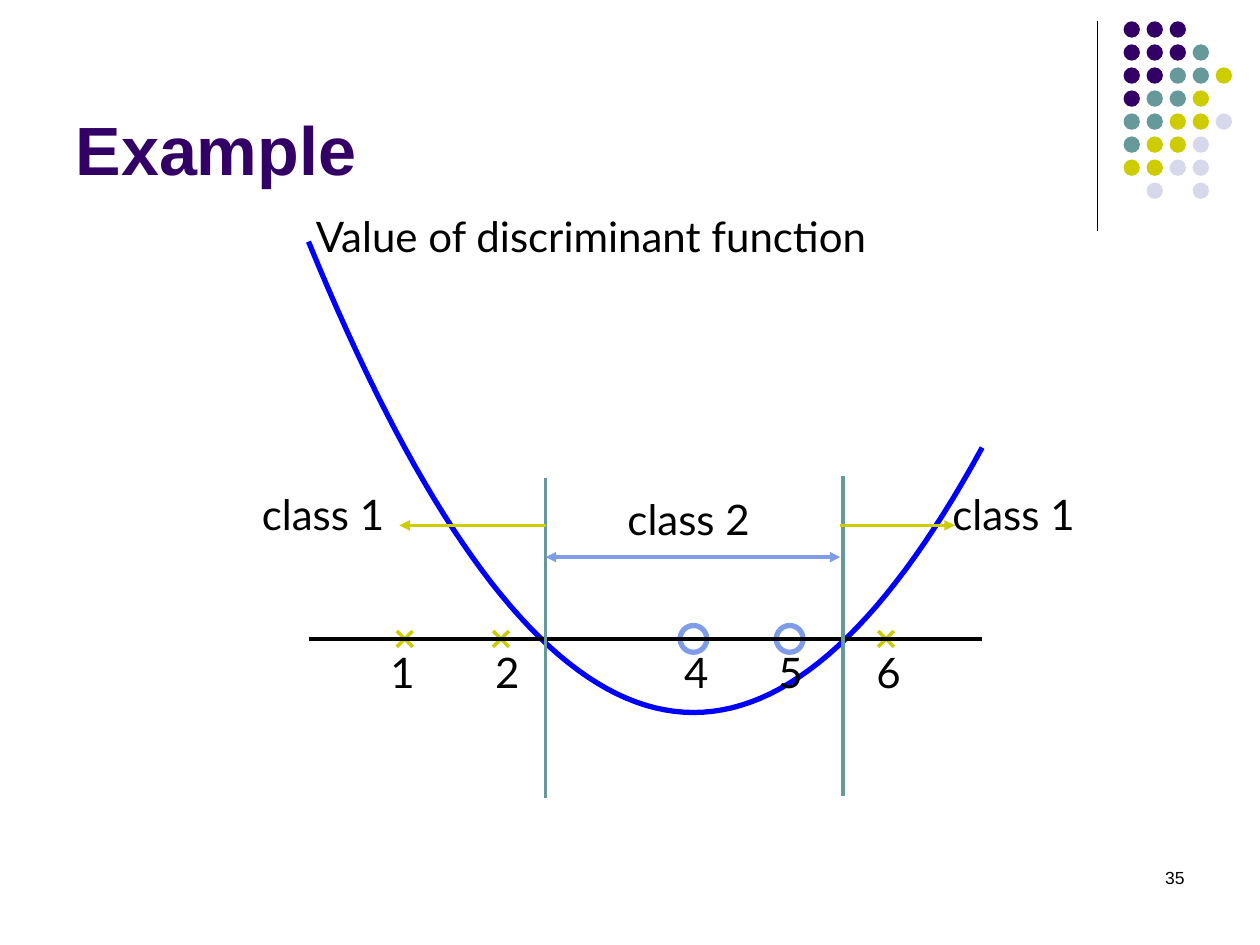
from lxml import etree
from pptx import Presentation
from pptx.dml.color import RGBColor
from pptx.enum import shapes, text
from pptx.oxml import ns
from pptx.util import Cm, Pt

BLACK = RGBColor(0x00, 0x00, 0x00)
PURPLE = RGBColor(0x33, 0x00, 0x66)
TEAL = RGBColor(0x66, 0x99, 0x99)
OLIVE = RGBColor(0xCC, 0xCC, 0x00)
LAVENDER = RGBColor(0xD8, 0xD8, 0xEC)
PERIWINKLE = RGBColor(0x7E, 0x9C, 0xE8)
BLUE = RGBColor(0x00, 0x00, 0xFF)

DOT_ROWS = ["PPP", "PPPT", "PPTTY", "PTTY", "TTYYL", "TYYL", "YYLL", " L L"]
DOT_COLORS = {"P": PURPLE, "T": TEAL, "Y": OLIVE, "L": LAVENDER}
DOT_PITCH = 3.25 / 7

ORIGIN_X, AXIS_Y = 6.22, 12.88
UNIT_X, UNIT_Y = 1.94, 0.89
X_MAX = 7


def discriminant(x):
    return (2 * x * x - 16 * x + 27) / 3


def plot_x(x):
    return ORIGIN_X + UNIT_X * x


def plot_y(value):
    return AXIS_Y - UNIT_Y * value


def format_text(frame, content, font="Lato", size=24, color=BLACK, bold=False,
                align=text.PP_ALIGN.LEFT, anchor=text.MSO_ANCHOR.TOP, wrap=False):
    frame.word_wrap = wrap
    frame.vertical_anchor = anchor
    paragraph = frame.paragraphs[0]
    paragraph.alignment = align
    run = paragraph.add_run()
    run.text = content
    run.font.name = font
    run.font.size = Pt(size)
    run.font.bold = bold
    run.font.color.rgb = color


def add_label(slide, content, left, top, width, **style):
    label = slide.shapes.add_textbox(Cm(left), Cm(top), Cm(width), Cm(1.27))
    format_text(label.text_frame, content, **style)


def add_line(slide, start, end, color, width, arrows=()):
    line = slide.shapes.add_connector(
        shapes.MSO_CONNECTOR.STRAIGHT, *map(Cm, start), *map(Cm, end))
    line.line.color.rgb = color
    line.line.width = Pt(width)
    outline = line.line._get_or_add_ln()
    for arrow in arrows:
        etree.SubElement(outline, ns.qn(f"a:{arrow}"), type="triangle")
    etree.SubElement(line._element.spPr, ns.qn("a:effectLst"))


def add_circle(container, left, top, size, fill=None, outline=None):
    circle = container.add_shape(
        shapes.MSO_SHAPE.OVAL, Cm(left), Cm(top), Cm(size), Cm(size))
    circle.shadow.inherit = False
    if fill is None:
        circle.fill.background()
    else:
        circle.fill.solid()
        circle.fill.fore_color.rgb = fill
    if outline is None:
        circle.line.fill.background()
    else:
        circle.line.color.rgb = outline
        circle.line.width = Pt(3)


def add_corner_dots(slide):
    add_line(slide, (22.12, 0.43), (22.12, 4.65), BLACK, 0.75)
    dots = slide.shapes.add_group_shape().shapes
    for row, codes in enumerate(DOT_ROWS):
        for column, code in enumerate(codes):
            if code in DOT_COLORS:
                add_circle(dots, 22.65 + column * DOT_PITCH, 0.43 + row * DOT_PITCH,
                           0.33, fill=DOT_COLORS[code])


def add_title(slide):
    title = slide.shapes.title
    title.left, title.top, title.width, title.height = map(Cm, (1.27, 0.33, 20.96, 3.61))
    format_text(title.text_frame, "Example", font="Arial", size=39, color=PURPLE,
                bold=True, anchor=text.MSO_ANCHOR.BOTTOM, wrap=True)


def add_cross(slide, x, half=0.16):
    center = plot_x(x)
    for side in (-half, half):
        add_line(slide, (center + side, AXIS_Y - half), (center - side, AXIS_Y + half),
                 OLIVE, 2)


def add_curve(slide):
    points = []
    for step in range(X_MAX * 10 + 1):
        x = step / 10
        points.append((Cm(plot_x(x)), Cm(plot_y(discriminant(x)))))
    builder = slide.shapes.build_freeform(*points[0])
    builder.add_line_segments(points[1:], close=False)
    curve = builder.convert_to_shape()
    curve.shadow.inherit = False
    curve.fill.background()
    curve.line.color.rgb = BLUE
    curve.line.width = Pt(3)


def main():
    presentation = Presentation()
    presentation.slide_width, presentation.slide_height = Cm(25.4), Cm(19.05)
    slide = presentation.slides.add_slide(presentation.slide_layouts[5])

    add_corner_dots(slide)
    add_title(slide)

    for x in (1, 2, 6):
        add_cross(slide, x)
    for x in (4, 5):
        add_circle(slide.shapes, plot_x(x) - 0.27, AXIS_Y - 0.27, 0.54, outline=PERIWINKLE)
    add_curve(slide)
    add_line(slide, (ORIGIN_X, AXIS_Y), (plot_x(X_MAX), AXIS_Y), BLACK, 0)

    add_label(slide, "Value of discriminant function", 6.12, 4.11, 12.42)
    for number, left in (("1", 7.62), ("2", 9.73), ("4", 13.54), ("5", 15.44), ("6", 17.42)):
        add_label(slide, number, left, 12.9, 0.99)

    for boundary, top in ((11, 9.63), (16.99, 9.6)):
        add_line(slide, (boundary, top), (boundary, top + 6.45), TEAL, 2)
    for name, left, top in (("class 2", 12.4, 9.83), ("class 1", 18.95, 9.73),
                            ("class 1", 5.03, 9.73)):
        add_label(slide, name, left, top, 3.12)
    add_line(slide, (11, 10.59), (8.05, 10.59), OLIVE, 2, ["tailEnd"])
    add_line(slide, (16.94, 10.59), (19.25, 10.59), OLIVE, 2, ["tailEnd"])
    add_line(slide, (11, 11.23), (16.94, 11.23), PERIWINKLE, 2, ["headEnd", "tailEnd"])

    add_label(slide, "35", 18.21, 17.35, 5.92, font="Arial", size=10,
              align=text.PP_ALIGN.RIGHT, wrap=True)

    presentation.save("out.pptx")


if __name__ == "__main__":
    main()
